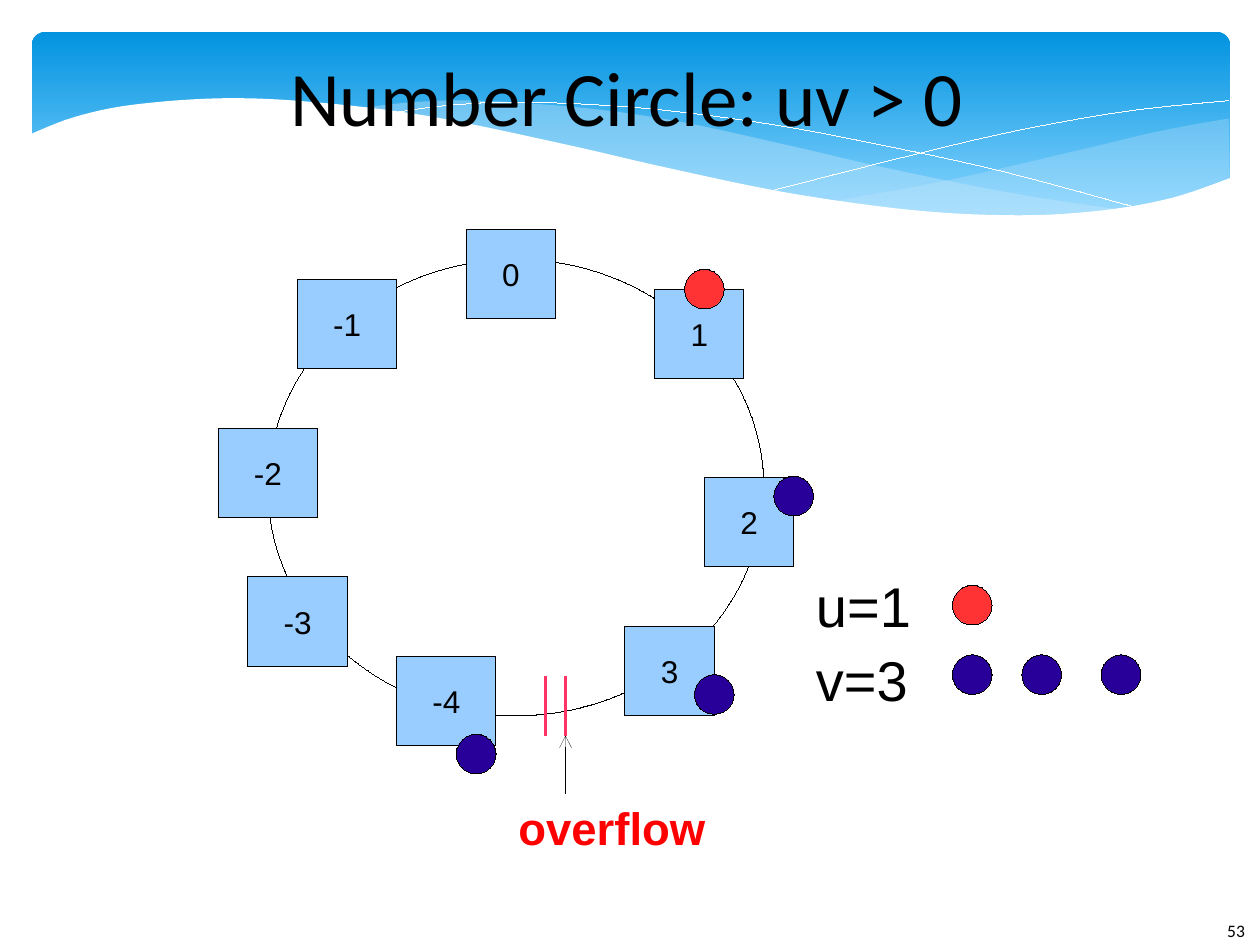
"""Build the number circle slide showing overflow for uv > 0."""
from lxml import etree
from pptx import Presentation
from pptx.dml.color import RGBColor
from pptx.enum.shapes import MSO_CONNECTOR, MSO_SHAPE
from pptx.enum.text import MSO_ANCHOR, PP_ALIGN
from pptx.oxml.ns import qn
from pptx.util import Cm, Pt

RECTANGLE, OVAL, BANNER = MSO_SHAPE.RECTANGLE, MSO_SHAPE.OVAL, MSO_SHAPE.ROUNDED_RECTANGLE
STRAIGHT = MSO_CONNECTOR.STRAIGHT
TOP, MIDDLE = MSO_ANCHOR.TOP, MSO_ANCHOR.MIDDLE
LEFT, CENTER = PP_ALIGN.LEFT, PP_ALIGN.CENTER
HAIRLINE = 0.01

THEME = {
    "black": "000000", "white": "FFFFFF", "wave": "C6E7FC", "alert": "FF0000",
    "banner": [(0, "0293E0"), (0.9, "83D3FE")],
    "number": "99CCFF", "u": "FF3333", "v": "280099", "cut": "FF3366",
    "title": {"name": "Calibri", "size": Pt(44), "bold": False},
    "label": {"name": "Arial", "size": Pt(18), "bold": False},
    "legend": {"name": "Arial", "size": Pt(32), "bold": False},
    "overflow": {"name": "Arial", "size": Pt(26), "bold": True},
    "page": {"name": "Calibri", "size": Pt(10), "bold": False},
}


def paint(shape, fill=None, line=None, opacity=100):
    shape.shadow.inherit = False
    if fill:
        shape.fill.solid()
        shape.fill.fore_color.rgb = RGBColor.from_string(fill)
        if opacity < 100:
            tint = shape.fill._xPr.find(qn("a:solidFill"))[0]
            etree.SubElement(tint, qn("a:alpha"), val=str(opacity * 1000))
    else:
        shape.fill.background()
    if line:
        shape.line.color.rgb = RGBColor.from_string(line)
        shape.line.width = Pt(HAIRLINE)
    else:
        shape.line.fill.background()


def write(shape, text, style, color="black", align=LEFT, anchor=TOP, margins=(0.25, 0.13)):
    across, down = (Cm(margin) for margin in margins)
    frame = shape.text_frame
    layout = {"word_wrap": False, "vertical_anchor": anchor, "margin_left": across,
              "margin_right": across, "margin_top": down, "margin_bottom": down}
    for key, value in layout.items():
        setattr(frame, key, value)
    paragraph = frame.paragraphs[0]
    paragraph.alignment = align
    run = paragraph.add_run()
    run.text = text
    for key, value in THEME[style].items():
        setattr(run.font, key, value)
    run.font.color.rgb = RGBColor.from_string(THEME[color])


presentation = Presentation()
presentation.slide_width, presentation.slide_height = Cm(25.4), Cm(19.05)
slide = presentation.slides.add_slide(presentation.slide_layouts[6])
shapes = slide.shapes

banner = shapes.add_shape(BANNER, Cm(0.64), Cm(0.64), Cm(24.16), Cm(3.96))
banner.adjustments[0] = 0.07
paint(banner)
banner.fill.gradient()
banner.fill.gradient_angle = 270
for stop, (position, color) in zip(banner.fill.gradient_stops, THEME["banner"]):
    stop.position = position
    stop.color.rgb = RGBColor.from_string(color)

waves = [
    ([[(24.77, 2.39), (23.39, 2.64), (21.87, 3), (19.13, 3.63), (16.79, 4.06)],
      [(16.79, 4.06), (18.59, 4.27), (20.4, 4.37), (22.15, 4.29), (23.57, 4.01), (24.79, 3.58)]],
     {"fill": THEME["wave"], "opacity": 29}),
    ([[(22.68, 4.24), (20.5, 3.91), (17.93, 3.4), (15.98, 2.95), (13.74, 2.46),
       (11.81, 2.18), (9.65, 2.03), (8.33, 2.06), (7.26, 2.18)],
      [(7.26, 2.18), (9.73, 2.57), (11.4, 2.95), (14.38, 3.63), (16.51, 4.01),
       (18.69, 4.29), (20.78, 4.39), (22.68, 4.24)]],
     {"fill": THEME["wave"], "opacity": 40}),
    ([[(7.85, 2.29), (8.97, 2.13), (10.57, 2.06), (12.95, 2.18), (15.44, 2.49),
       (17.65, 2.9), (20.19, 3.45), (23.04, 4.22)]], {"line": THEME["white"]}),
    ([[(15.57, 3.84), (18.29, 3.15), (20.47, 2.64), (22.73, 2.24), (24.77, 2.03)]],
     {"line": THEME["white"]}),
    ([[(24.82, 3.58), (23.62, 3.99), (22.23, 4.24), (20.55, 4.34), (18.44, 4.24),
       (15.9, 3.89), (13.44, 3.38), (11.35, 2.9), (8.64, 2.34), (6.35, 2.06),
       (4.5, 1.98), (2.69, 2.11), (1.5, 2.36), (0.58, 2.72)],
      [(0.58, 5.69), (24.82, 5.69)]], {"fill": THEME["white"]}),
]
STEPS = 6
for edges, look in waves:
    outline = []
    for edge in edges:
        padded = [edge[0], *edge, edge[-1]]
        for before, start, end, after in zip(padded, padded[1:], padded[2:], padded[3:]):
            for step in range(STEPS):
                t = step / STEPS
                outline.append([
                    Cm(b + ((c - a) * t + (2 * a - 5 * b + 4 * c - d) * t**2
                            + (3 * b - a - 3 * c + d) * t**3) / 2)
                    for a, b, c, d in zip(before, start, end, after)])
        outline.append([Cm(value) for value in edge[-1]])
    builder = shapes.build_freeform(*outline[0])
    builder.add_line_segments(outline[1:], close="fill" in look)
    paint(builder.convert_to_shape(), **look)

title = shapes.add_textbox(Cm(2.34), Cm(0.64), Cm(20.6), Cm(2.59))
write(title, "Number Circle: uv > 0", "title", align=CENTER, anchor=MIDDLE, margins=(0, 0))
title.text_frame.word_wrap = True

circle = shapes.add_shape(OVAL, Cm(5.4), Cm(5.23), Cm(10), Cm(9.2))
paint(circle, line=THEME["black"])

numbers = [("0", 9.4, 4.63), ("1", 13.2, 5.83), ("2", 14.2, 9.63), ("3", 12.6, 12.63),
           ("-1", 6, 5.63), ("-2", 4.4, 8.63), ("-3", 5, 11.63), ("-4", 8, 13.23)]
for label, left, top in numbers:
    width = 2 if label.startswith("-") else 1.8
    number = shapes.add_shape(RECTANGLE, Cm(left), Cm(top), Cm(width), Cm(1.8))
    paint(number, THEME["number"], THEME["black"])
    write(number, label, "label", align=CENTER, anchor=MIDDLE)

strokes = [(11.4, 13.63, 14.83, "cut", 1.42), (11, 13.63, 14.83, "cut", 1.42),
           (11.4, 16, 14.83, "black", HAIRLINE)]
for x, start, end, color, weight in strokes:
    stroke = shapes.add_connector(STRAIGHT, Cm(x), Cm(start), Cm(x), Cm(end))
    stroke.line.color.rgb = RGBColor.from_string(THEME[color])
    stroke.line.width = Pt(weight)
    etree.SubElement(stroke._element.spPr, qn("a:effectLst"))
etree.SubElement(stroke.line._get_or_add_ln(), qn("a:tailEnd"), type="arrow")

TOKEN = 0.8
tokens = {"u": [(14.2, 5.83), (19.6, 12.2)],
          "v": [(16, 10), (14.4, 14), (9.6, 15.2), (19.6, 13.6), (21, 13.6), (22.6, 13.6)]}
for factor, centers in tokens.items():
    for x, y in centers:
        token = shapes.add_shape(OVAL, Cm(x - TOKEN / 2), Cm(y - TOKEN / 2), Cm(TOKEN), Cm(TOKEN))
        paint(token, THEME[factor], THEME["black"])

captions = [("u=1", 16.2, 11.4, 2.8, 1.7, "legend", "black"),
            ("v=3", 16.2, 12.88, 2.8, 1.7, "legend", "black"),
            ("overflow", 10.2, 16, 4.3, 1.27, "overflow", "alert"),
            ("53", 24.49, 18.42, 0.9, 0.6, "page", "black")]
for text, left, top, width, height, style, color in captions:
    caption = shapes.add_textbox(Cm(left), Cm(top), Cm(width), Cm(height))
    write(caption, text, style, color)

presentation.save("out.pptx")
